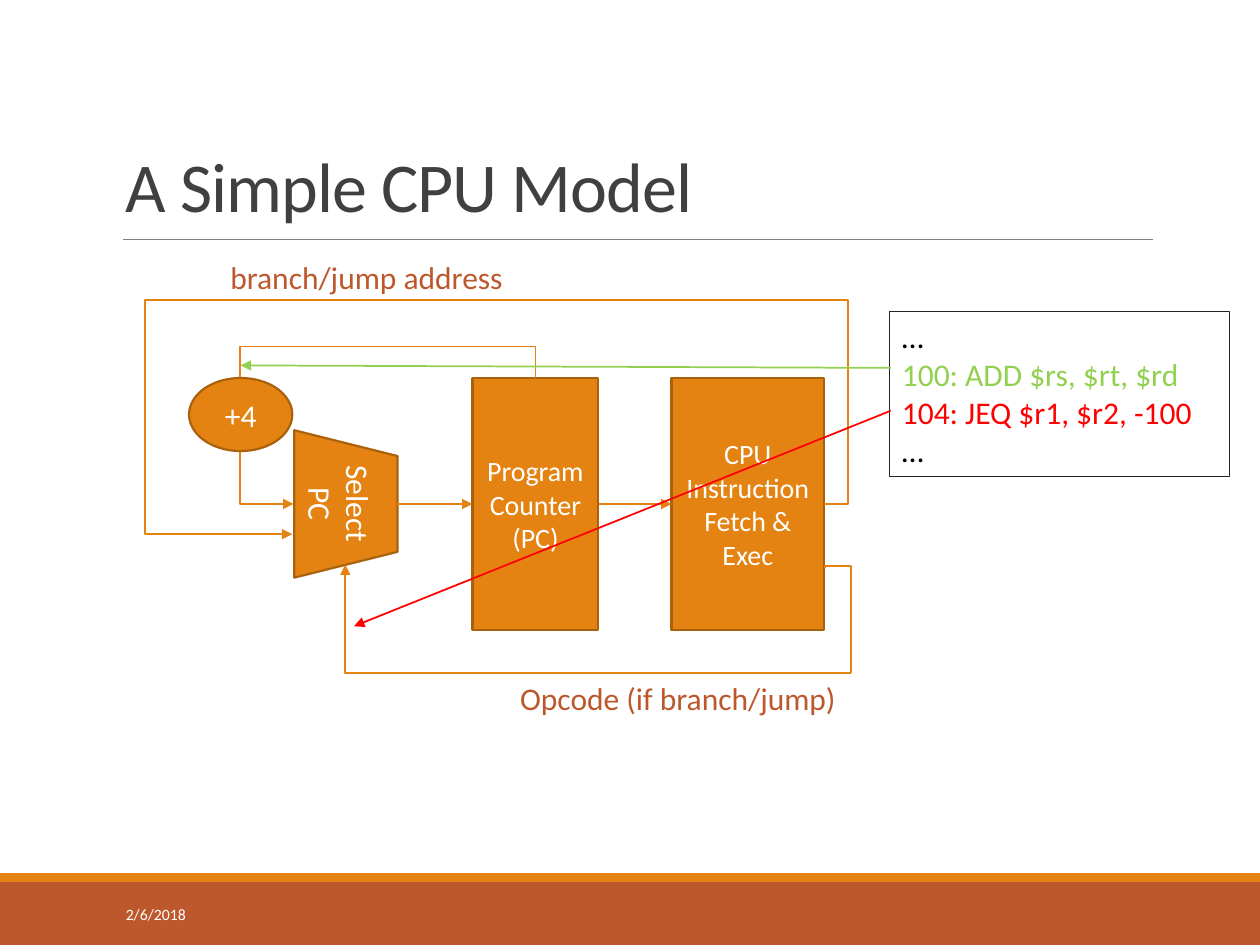
from dataclasses import dataclass

from lxml import etree
from pptx import Presentation
from pptx.dml.color import RGBColor
from pptx.enum.shapes import MSO_CONNECTOR as Conn, MSO_SHAPE as Shape
from pptx.enum.text import MSO_ANCHOR as Anchor, PP_ALIGN as Align
from pptx.oxml.ns import qn
from pptx.util import Inches, Pt


@dataclass(frozen=True)
class Theme:
    font: str = "Calibri"
    orange: str = "E48312"
    edge: str = "A9610D"
    rust: str = "BD582C"
    title: str = "404040"
    rule: str = "808080"
    border: str = "262626"
    black: str = "000000"
    white: str = "FFFFFF"
    green: str = "92D050"
    red: str = "FF0000"
    title_size: float = 40
    body_size: float = 18
    block_size: float = 16
    date_size: float = 9


T = Theme()


def rgb(color):
    return RGBColor.from_string(color)


def add_run(p, text, size, color):
    r = p.add_run()
    r.text = text
    r.font.name, r.font.size = T.font, Pt(size)
    r.font.color.rgb = rgb(color)
    return r


def add_label(s, box, text, size, color, anchor=Anchor.TOP, wrap=True):
    tf = s.shapes.add_textbox(*map(Inches, box)).text_frame
    tf.word_wrap, tf.vertical_anchor = wrap, anchor
    p = tf.paragraphs[0]
    return p, add_run(p, text, size, color)


def add_box(parent, kind, box, fill=None, line=None, width=1.25):
    sp = parent.shapes.add_shape(kind, *map(Inches, box))
    sp.shadow.inherit = False
    if fill:
        sp.fill.solid()
        sp.fill.fore_color.rgb = rgb(fill)
    else:
        sp.fill.background()
    if line:
        sp.line.color.rgb = rgb(line)
        sp.line.width = Pt(width)
    else:
        sp.line.fill.background()
    return sp


def add_block(s, kind, box, text, size):
    sp = add_box(s, kind, box, T.orange, T.edge)
    tf = sp.text_frame
    tf.word_wrap, tf.vertical_anchor = True, Anchor.MIDDLE
    p = tf.paragraphs[0]
    p.alignment = Align.CENTER
    add_run(p, text, size, T.white)
    return sp


def add_line(parent, start, end, color, width=1, arrow=True, kind=Conn.STRAIGHT):
    cx = parent.shapes.add_connector(kind, *map(Inches, (*start, *end)))
    cx.line.color.rgb = rgb(color)
    cx.line.width = Pt(width)
    if arrow:
        etree.SubElement(cx.line._get_or_add_ln(), qn("a:tailEnd"), type="triangle")
    etree.SubElement(cx._element.spPr, qn("a:effectLst"))
    return cx


def add_elbow(s, start, end, bends, rotation=0, adjust=(), arrow=True):
    """Bent connector; start and end are given before rotation about its centre."""
    cx = add_line(s, start, end, T.orange, arrow=arrow, kind=Conn.ELBOW)
    spPr = cx._element.spPr
    if rotation:
        spPr.find(qn("a:xfrm")).set("rot", str(rotation * 60000))
    geom = spPr.find(qn("a:prstGeom"))
    geom.set("prst", f"bentConnector{bends}")
    guides = geom.find(qn("a:avLst"))
    if guides is None:
        guides = etree.SubElement(geom, qn("a:avLst"))
    for i, value in enumerate(adjust, 1):
        etree.SubElement(guides, qn("a:gd"), name=f"adj{i}",
                         fmla=f"val {round(value * 100000)}")


def slide_frame(s, box):
    """Footer bands, title with its rule, and the date."""
    x, y, w, h = box
    footer = y + h - 0.5
    add_box(s, Shape.RECTANGLE, (x, footer, w, 0.5), T.rust)
    add_box(s, Shape.RECTANGLE, (x, footer - 0.07, w, 0.07), T.orange)
    add_line(s, (x + 0.98, y + 1.9), (x + 9.15, y + 1.9), T.rule, 0.5, arrow=False)
    p, r = add_label(s, (x + 0.9, y + 0.31, 8.25, 1.54), "A Simple CPU Model",
                     T.title_size, T.title, Anchor.BOTTOM)
    p.line_spacing = 0.85
    r.font._element.set("spc", "-50")
    add_label(s, (x + 0.9, footer + 0.06, 2.03, 0.4), "2/6/2018",
              T.date_size, T.white, Anchor.MIDDLE)


def datapath(s, box):
    """Program counter loop with its branch and opcode feedback."""
    x, y, w, h = box

    def at(dx, dy):
        return x + dx, y + dy

    select = add_block(s, Shape.TRAPEZOID, (*at(1.01, 1.59), 1.17, 0.82),
                       "Select PC", T.body_size)
    select.rotation = 90
    counter = add_block(s, Shape.RECTANGLE, (*at(2.6, 1), 1, 2),
                        "Program Counter (PC)", T.block_size)
    cpu = add_block(s, Shape.RECTANGLE, (*at(4.18, 1), 1.21, 2),
                    "CPU Instruction Fetch & Exec", T.block_size)

    add_line(s, at(2, 2), at(2.6, 2), T.orange).end_connect(counter, 1)
    fetch = add_line(s, at(3.6, 2), at(4.18, 2), T.orange)
    fetch.begin_connect(counter, 3)
    fetch.end_connect(cpu, 1)

    # Counter to selector, passing behind the adder
    add_elbow(s, at(2.64, 2.46), at(1.64, 0.54), 4, 270, (-0.25, 1.22))
    add_block(s, Shape.OVAL, (*at(0.35, 1), 0.82, 0.58), "+4", T.body_size)
    # Branch address around the top
    add_elbow(s, at(5.39, 2), at(1.17, 2.24), 5, 0, (-0.045, -6.751, 1.277))
    # Opcode around the bottom
    add_elbow(s, at(1.59, 2.48), at(5.6, 3.34), 2, 180)
    add_elbow(s, at(5.92, 2.82), at(5.08, 3.03), 3, 270, (-0.018,), arrow=False)

    add_label(s, (*at(2.88, h - 0.4), 2.74, 0.4), "Opcode (if branch/jump)",
              T.body_size, T.rust, wrap=False)
    add_label(s, (*at(0.58, 0), 2.53, 0.4), "branch/jump address",
              T.body_size, T.rust, wrap=False)


def code_listing(s, box):
    """Instructions with arrows to the path that each one takes."""
    x, y, w, h = box
    group = s.shapes.add_group_shape()
    tf = add_box(group, Shape.RECTANGLE, box, line=T.border, width=0.75).text_frame
    tf.word_wrap, tf.vertical_anchor = True, Anchor.TOP
    paragraphs = [
        [("… ", T.black), ("100: ADD $rs, $rt, $rd", T.green)],
        [("104: JEQ $r1, $r2, -100", T.red), ("…", T.black)],
    ]
    for i, lines in enumerate(paragraphs):
        p = tf.add_paragraph() if i else tf.paragraphs[0]
        p.alignment = Align.LEFT
        for j, (text, color) in enumerate(lines):
            if j:
                p.add_line_break()
            add_run(p, text, T.body_size, color)
    add_line(group, (x + 0.01, y + 0.45), (x - 5.15, y + 0.43), T.green)
    add_line(group, (x + 0.01, y + 0.79), (x - 4.25, y + 2.5), T.red)


def main():
    prs = Presentation()
    prs.slide_width, prs.slide_height = Inches(10), Inches(7.5)
    s = prs.slides.add_slide(prs.slide_layouts[6])
    slide_frame(s, (0, 0, 10, 7.5))
    datapath(s, (1.15, 2, 5.62, 3.74))
    code_listing(s, (7.06, 2.47, 2.7, 1.31))
    prs.save("out.pptx")


if __name__ == "__main__":
    main()
